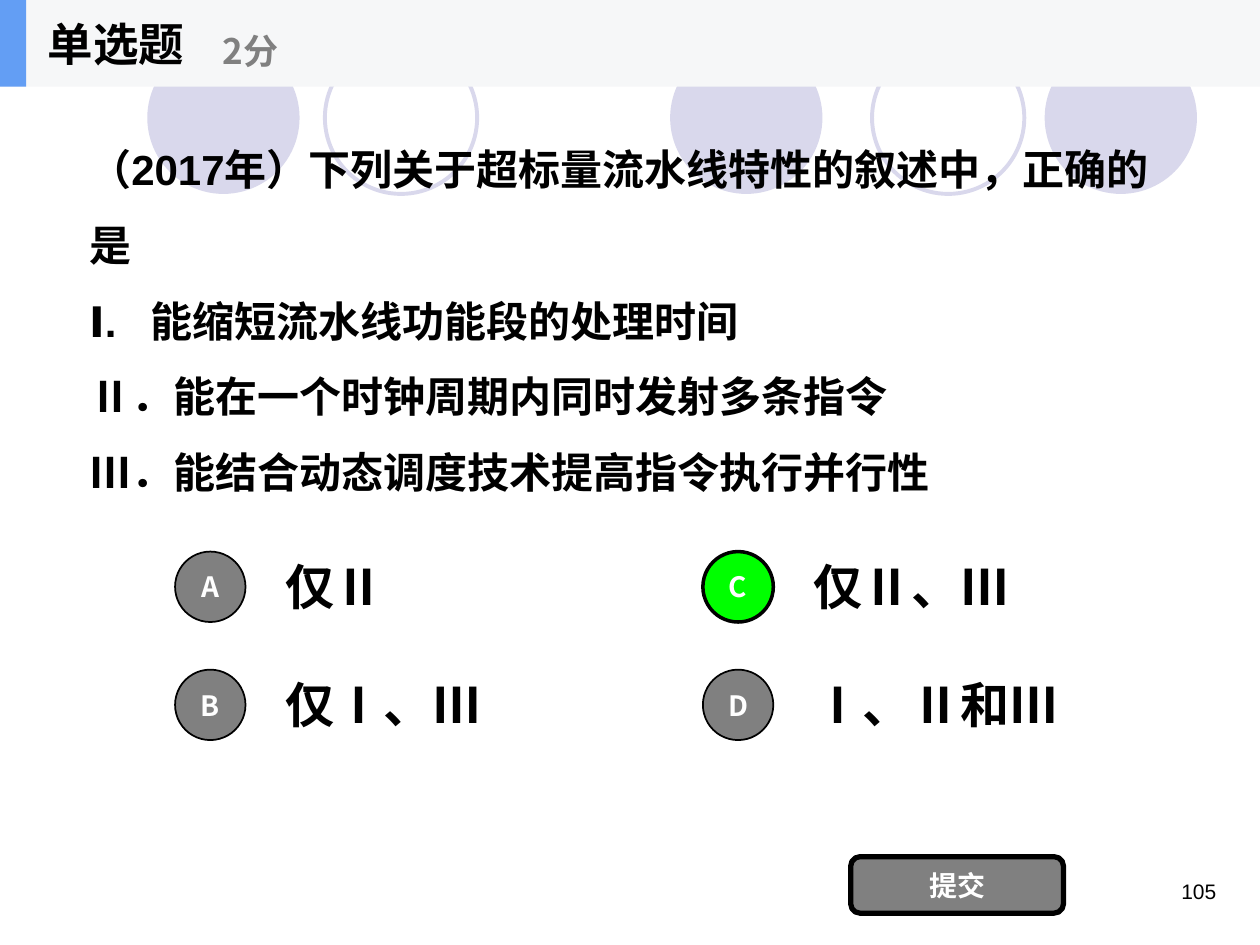
"""Build a single-choice quiz slide about superscalar pipelines."""
from dataclasses import dataclass

from lxml.etree import SubElement
from pptx import Presentation
from pptx.dml.color import RGBColor
from pptx.enum.shapes import MSO_SHAPE
from pptx.enum.text import MSO_ANCHOR, PP_ALIGN
from pptx.oxml.ns import qn
from pptx.util import Cm, Pt

LATIN, CJK = "Arial", "Noto Sans CJK SC"
BLACK, WHITE, GREY, GREEN = "000000", "FFFFFF", "808080", "00FF00"
LILAC, HEADER, ACCENT = "D9D8EC", "F6F7F8", "639EF4"


@dataclass
class Box:
    left: float
    top: float
    width: float
    height: float

    def lengths(self):
        return [Cm(v) for v in (self.left, self.top, self.width, self.height)]


@dataclass
class Style:
    size: float
    font: str = LATIN
    color: str = BLACK
    bold: bool = True
    align: PP_ALIGN = PP_ALIGN.LEFT
    anchor: MSO_ANCHOR = MSO_ANCHOR.MIDDLE
    spacing: float = 1.0
    tab: float = 0


@dataclass
class Option:
    letter: str
    answer: str
    column: int
    row: int
    chosen: bool = False


BUTTON = Style(16, CJK, WHITE, align=PP_ALIGN.CENTER)
ANSWER = Style(28)
QUESTION = [
    "（2017年）下列关于超标量流水线特性的叙述中，正确的是",
    "Ⅰ.\t能缩短流水线功能段的处理时间",
    "Ⅱ．能在一个时钟周期内同时发射多条指令",
    "Ⅲ．能结合动态调度技术提高指令执行并行性",
]
OPTIONS = [
    Option("A", "仅Ⅱ", 0, 0),
    Option("B", "仅Ⅰ、Ⅲ", 0, 1),
    Option("C", "仅Ⅱ、Ⅲ", 1, 0, chosen=True),
    Option("D", "Ⅰ、Ⅱ和Ⅲ", 1, 1),
]


def rgb(value: str) -> RGBColor:
    return RGBColor.from_string(value)


def write(frame, lines: list[str], style: Style) -> None:
    frame.word_wrap = True
    frame.vertical_anchor = style.anchor
    frame.text = "\n".join(lines)
    for paragraph in frame.paragraphs:
        if style.tab:
            tabs = SubElement(paragraph._p.get_or_add_pPr(), qn("a:tabLst"))
            SubElement(tabs, qn("a:tab"), pos=str(Cm(style.tab)), algn="l")
        paragraph.alignment = style.align
        paragraph.line_spacing = style.spacing
        for run in paragraph.runs:
            run.font.size = Pt(style.size)
            run.font.bold = style.bold
            run.font.name = style.font
            run.font.color.rgb = rgb(style.color)
            SubElement(run._r.get_or_add_rPr(), qn("a:ea"), typeface=style.font)


def add_text(slide, box: Box, lines: list[str], style: Style) -> None:
    write(slide.shapes.add_textbox(*box.lengths()).text_frame, lines, style)


def add_figure(slide, kind: MSO_SHAPE, box: Box, fill: str = "",
               line: str = "", weight: float = 0, label: str = "") -> None:
    figure = slide.shapes.add_shape(kind, *box.lengths())
    figure.shadow.inherit = False
    if fill:
        figure.fill.solid()
        figure.fill.fore_color.rgb = rgb(fill)
    else:
        figure.fill.background()
    if line:
        figure.line.color.rgb = rgb(line)
        figure.line.width = Pt(weight)
    else:
        figure.line.fill.background()
    if label:
        write(figure.text_frame, [label], BUTTON)


def add_option(slide, option: Option) -> None:
    left, top = 3.53 + 10.64 * option.column, 11.12 + 2.38 * option.row
    add_figure(slide, MSO_SHAPE.OVAL, Box(left, top, 1.42, 1.42),
               GREEN if option.chosen else GREY, BLACK,
               2 if option.chosen else 1, option.letter)
    add_text(slide, Box(left + 1.98, top - 0.2, 6.6, 1.78), [option.answer], ANSWER)


def main() -> None:
    deck = Presentation()
    deck.slide_width, deck.slide_height = Cm(25.4), Cm(19.05)
    slide = deck.slides.add_slide(deck.slide_layouts[6])

    for left in (2.97, 13.51, 21.06):
        add_figure(slide, MSO_SHAPE.OVAL, Box(left, 0.84, 3.07, 3.07), LILAC)
    for left in (6.55, 17.58):
        add_figure(slide, MSO_SHAPE.OVAL, Box(left, 0.84, 3.07, 3.07),
                   line=LILAC, weight=2.25)

    add_figure(slide, MSO_SHAPE.RECTANGLE, Box(0, 0, 25.4, 1.75), HEADER)
    add_figure(slide, MSO_SHAPE.RECTANGLE, Box(0, 0, 0.53, 1.75), ACCENT)
    add_text(slide, Box(0.71, 0, 5.28, 1.75), ["单选题"], Style(26, CJK))
    add_text(slide, Box(4.24, 0.3, 6.35, 1.42), ["2分"], Style(20, CJK, GREY))

    add_text(slide, Box(1.55, 2.51, 22.58, 7.39), QUESTION,
             Style(24, spacing=1.5, tab=1.24))
    for option in OPTIONS:
        add_option(slide, option)

    add_figure(slide, MSO_SHAPE.ROUNDED_RECTANGLE, Box(17.15, 17.27, 4.29, 1.14),
               GREY, BLACK, 3, "提交")
    add_text(slide, Box(18.85, 17.58, 5.92, 1.27), ["105"],
             Style(12, bold=False, align=PP_ALIGN.RIGHT, anchor=MSO_ANCHOR.TOP))
    deck.save("out.pptx")


if __name__ == "__main__":
    main()
